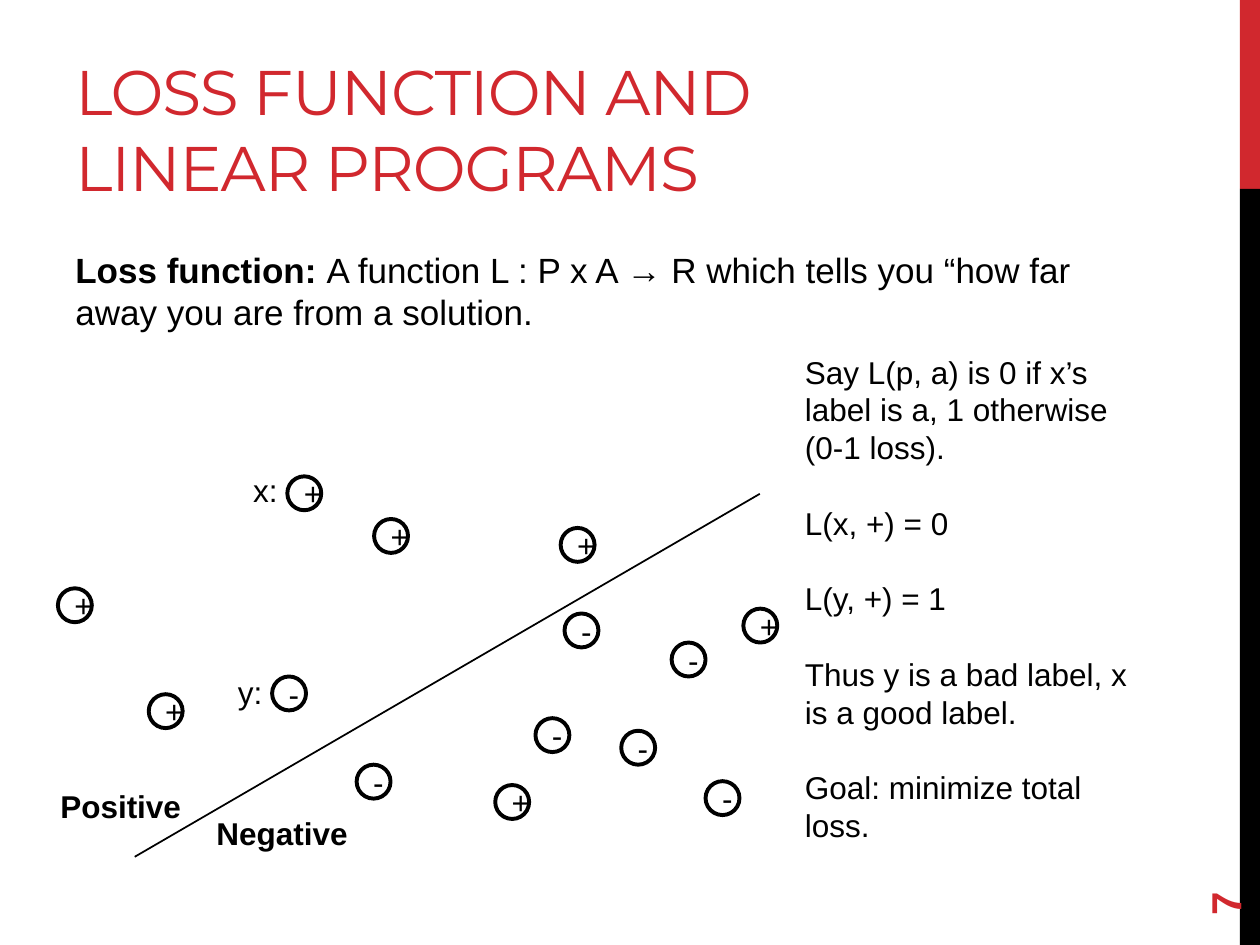
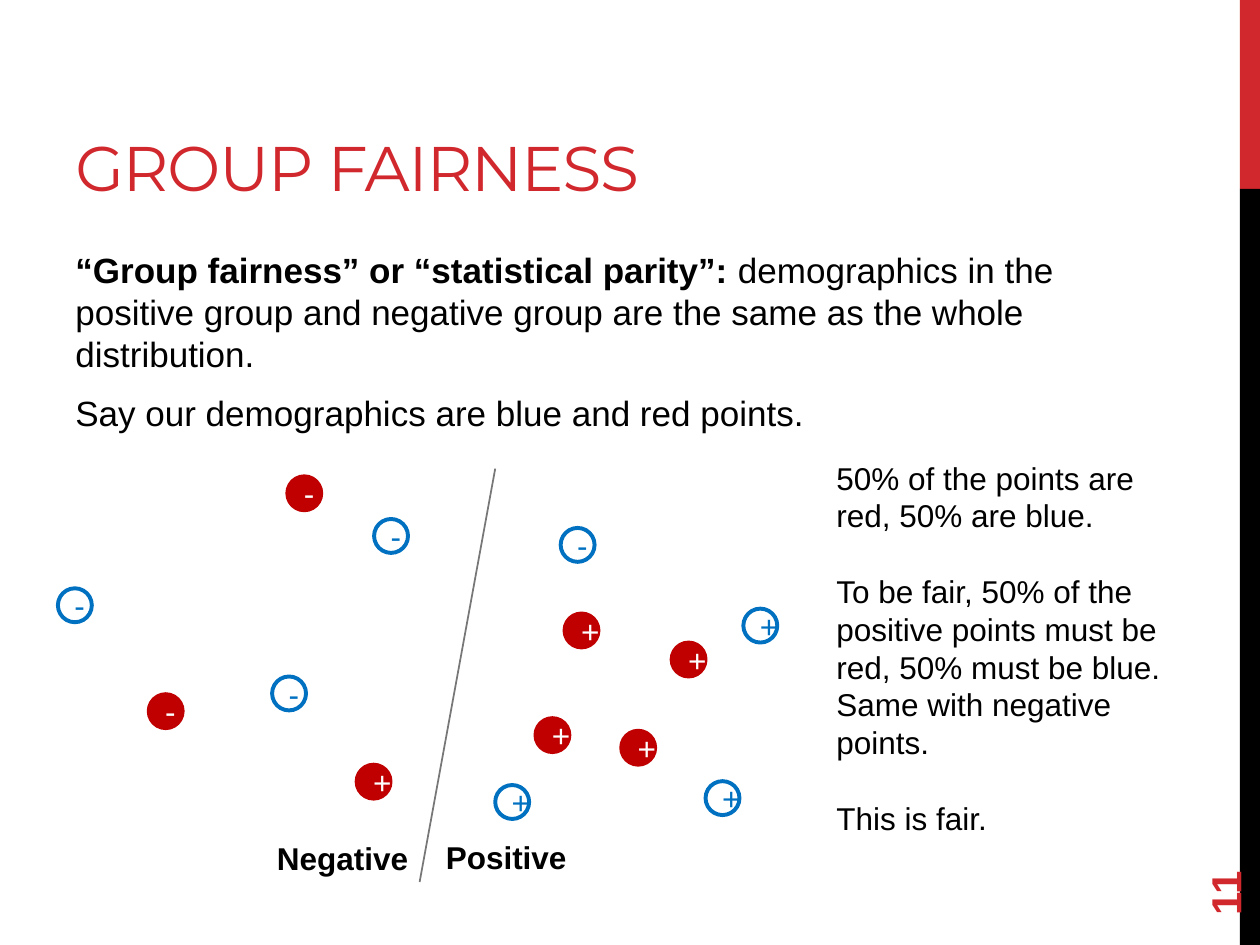
from pptx import Presentation
from pptx.dml.color import RGBColor
from pptx.enum.shapes import MSO_CONNECTOR, MSO_SHAPE
from pptx.enum.text import MSO_ANCHOR, PP_ALIGN
from pptx.oxml.ns import qn
from pptx.util import Pt
from lxml.etree import SubElement

RED = RGBColor(0xD1, 0x28, 0x2E)
BLACK = RGBColor(0, 0, 0)
WHITE = RGBColor(0xFF, 0xFF, 0xFF)
GRAY = RGBColor(0x77, 0x77, 0x77)
POINT_BLUE = RGBColor(0x00, 0x70, 0xC0)
POINT_RED = RGBColor(0xC0, 0x00, 0x00)

BODY_FONT = "Arial"
TITLE_FONT = "Montserrat"
POINT_SIZE = 19.4
NOTE_LINE = 21.6

POINT_PLACES = [
    (33.1, 336.2), (155.5, 386.6), (164.2, 272.2), (85, 396.7),
    (320.4, 301.7), (283, 448.6), (213.8, 296.6), (322.6, 350.6),
    (203.8, 437), (424.8, 347.8), (403.2, 446.4), (383.8, 367.2),
    (355, 417.6), (306, 410.4),
]
LABEL_SIGNS = "+-+++++--+----"
GROUP_SIGNS = "-----+-+++++++"
GROUP_COLORS = "BBRRBBBRRBBRRR"


def style(paragraph, size, color=BLACK, bold=False, font=BODY_FONT):
    paragraph.font.name = font
    paragraph.font.size = Pt(size)
    paragraph.font.color.rgb = color
    paragraph.font.bold = bold


def add_text_box(slide, left, top, width, height, anchor=MSO_ANCHOR.TOP):
    box = slide.shapes.add_textbox(Pt(left), Pt(top), Pt(width), Pt(height))
    box.text_frame.word_wrap = True
    box.text_frame.vertical_anchor = anchor
    return box


def add_band(slide, top, height, color):
    band = slide.shapes.add_shape(
        MSO_SHAPE.RECTANGLE, Pt(708.5), Pt(top), Pt(11.5), Pt(height))
    band.shadow.inherit = False
    band.fill.solid()
    band.fill.fore_color.rgb = color
    band.line.fill.background()


def add_title(slide, text):
    title = add_text_box(slide, 36, 12.2, 455.8, 108, MSO_ANCHOR.BOTTOM)
    heading = title.text_frame.paragraphs[0]
    run = heading.add_run()
    run.text = text
    run._r.get_or_add_rPr().set("spc", "-60")
    style(heading, 36, RED, font=TITLE_FONT)


def add_page_number(slide, number):
    page = add_text_box(slide, 648, 463.7, 103.7, 28.8, MSO_ANCHOR.MIDDLE)
    page.rotation = 270
    paragraph = page.text_frame.paragraphs[0]
    paragraph.text = str(number)
    style(paragraph, 24, RED, bold=True)


def add_framed_slide(deck, title, number):
    slide = deck.slides.add_slide(deck.slide_layouts[6])
    add_band(slide, 0, 108, RED)
    add_band(slide, 108, 432, BLACK)
    add_title(slide, title)
    add_page_number(slide, number)
    return slide


def add_paragraphs(frame, count):
    return [frame.paragraphs[0]] + [frame.add_paragraph() for _ in range(count - 1)]


def add_definition(slide, height, term, *statements):
    frame = add_text_box(slide, 36, 138.2, 599.8, height).text_frame
    paragraphs = add_paragraphs(frame, len(statements))
    term_run = paragraphs[0].add_run()
    term_run.text = term
    term_run.font.bold = True
    for paragraph, statement in zip(paragraphs, statements):
        paragraph.add_run().text = statement
        paragraph.space_before = Pt(4)
        paragraph.space_after = Pt(6)
        style(paragraph, 20)


def add_notes_column(slide, left, top, height, notes):
    frame = add_text_box(slide, left, top, 199.4, height).text_frame
    for paragraph, note in zip(add_paragraphs(frame, len(notes)), notes):
        paragraph.text = note
        paragraph.space_after = Pt(NOTE_LINE)
        style(paragraph, 18)


def add_label(slide, left, top, width, text, bold=True):
    paragraph = add_text_box(slide, left, top, width, 28.8).text_frame.paragraphs[0]
    paragraph.text = text
    style(paragraph, 18, bold=bold)


def add_point(slide, place, sign, color, filled=False):
    left, top = place
    point = slide.shapes.add_shape(
        MSO_SHAPE.OVAL, Pt(left), Pt(top), Pt(POINT_SIZE), Pt(POINT_SIZE))
    point.shadow.inherit = False
    point.line.color.rgb = color
    point.line.width = Pt(2.25)
    if filled:
        point.fill.solid()
        point.fill.fore_color.rgb = color
    else:
        point.fill.background()
    paragraph = point.text_frame.paragraphs[0]
    paragraph.text = sign
    paragraph.alignment = PP_ALIGN.CENTER
    style(paragraph, 18, WHITE if filled else color)


def add_separator(slide, start, end, color):
    separator = slide.shapes.add_connector(
        MSO_CONNECTOR.STRAIGHT, *(Pt(length) for length in start + end))
    separator.line.color.rgb = color
    separator.line.width = Pt(1)
    SubElement(separator._element.spPr, qn("a:effectLst"))


def build_loss_function(deck):
    slide = add_framed_slide(deck, "LOSS FUNCTION AND LINEAR PROGRAMS", 7)
    add_definition(
        slide, 88.6, "Loss function: ",
        "A function L : P x A → R which tells you “how far away you are from a solution.")
    add_label(slide, 137.5, 265.7, 37.4, "x:", bold=False)
    add_label(slide, 128.9, 380.9, 37.4, "y:", bold=False)
    add_notes_column(slide, 452.9, 198, 290.9, [
        "Say L(p, a) is 0 if x’s label is a, 1 otherwise (0-1 loss).",
        "L(x, +) = 0",
        "L(y, +) = 1",
        "Thus y is a bad label, x is a good label.",
        "Goal: minimize total loss.",
    ])
    for place, sign in zip(POINT_PLACES, LABEL_SIGNS):
        add_point(slide, place, sign, BLACK)
    add_separator(slide, (77, 489.6), (434.2, 282.2), BLACK)
    add_label(slide, 27.4, 446.4, 95.8, "Positive")
    add_label(slide, 116.6, 461.5, 364.3, "Negative")


def build_group_fairness(deck):
    slide = add_framed_slide(deck, "GROUP FAIRNESS", 11)
    add_definition(
        slide, 344.2, "“Group fairness” or “statistical parity”: ",
        "demographics in the positive group and negative group are the same "
        "as the whole distribution.",
        "Say our demographics are blue and red points.")
    add_separator(slide, (239.8, 504), (283, 267.8), GRAY)
    add_label(slide, 151.2, 475.9, 95.8, "Negative")
    add_label(slide, 247.7, 475.2, 364.3, "Positive")
    add_notes_column(slide, 470.9, 258.5, 225.4, [
        "50% of the points are red, 50% are blue.",
        "To be fair, 50% of the positive points must be red, 50% must be blue. "
        "Same with negative points.",
        "This is fair.",
    ])
    for place, sign, group in zip(POINT_PLACES, GROUP_SIGNS, GROUP_COLORS):
        is_red = group == "R"
        add_point(slide, place, sign, POINT_RED if is_red else POINT_BLUE, is_red)


def main():
    deck = Presentation()
    deck.slide_width, deck.slide_height = Pt(720), Pt(540)
    build_loss_function(deck)
    build_group_fairness(deck)
    deck.save("out.pptx")


if __name__ == "__main__":
    main()
